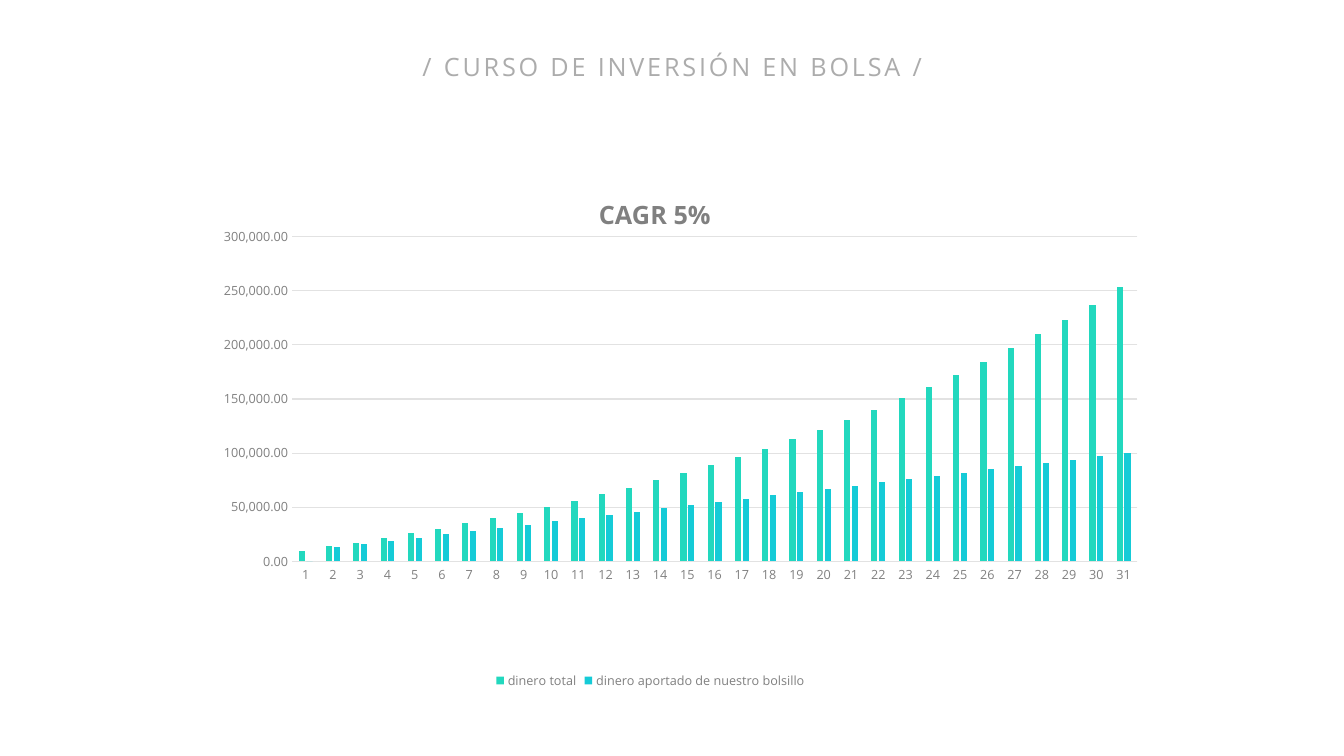
from lxml import etree
from pptx import Presentation
from pptx import util as u
from pptx.chart.data import CategoryChartData
from pptx.dml.color import RGBColor
from pptx.enum import chart as ch, text
from pptx.oxml.ns import qn

CELL = 0.1  # grid cell in inches
FONT = "Open Sans"
GREY, RULE, PALE = "808080", "E2E2E2", "ACACAC"
TEAL, CYAN = "22D8BE", "15CBD7"


def rgb(code):
    return RGBColor.from_string(code)


def style(font, size, color=GREY, bold=False):
    font.name, font.size, font.bold = FONT, u.Pt(size), bold
    font.color.rgb = rgb(color)


def write(frame, words, size, color=GREY, bold=False, gap=0):
    """Put one centred line into a frame; gap is letter spacing in points."""
    para = frame.paragraphs[0]
    para.alignment = text.PP_ALIGN.CENTER
    run = para.add_run()
    run.text = words
    style(run.font, size, color, bold)
    if gap:
        run._r.get_or_add_rPr().set("spc", str(gap * 100))


def place(node, index, **items):
    """Give a chart part a manual layout, in shares of the chart."""
    for old in node.findall(qn("c:layout")):
        node.remove(old)
    layout = etree.Element(qn("c:layout"))
    manual = etree.SubElement(layout, qn("c:manualLayout"))
    for name, value in items.items():
        etree.SubElement(manual, qn("c:" + name)).set("val", str(value))
    node.insert(index, layout)


class Page:
    def __init__(self, deck):
        self.slide = deck.slides.add_slide(deck.slide_layouts[5])

    def box(self, *cells):
        return [u.Inches(n * CELL) for n in cells]

    def title(self, words, *cells):
        head = self.slide.shapes.title
        head.left, head.top, head.width, head.height = self.box(*cells)
        frame = head.text_frame
        frame.word_wrap = False
        frame.auto_size = text.MSO_AUTO_SIZE.SHAPE_TO_FIT_TEXT
        frame.vertical_anchor = text.MSO_ANCHOR.MIDDLE
        write(frame, words, 18, PALE, gap=2)

    def bars(self, name, cats, series, *cells):
        data = CategoryChartData(number_format="#,##0.00")
        data.categories = cats
        for label, vals, _ in series:
            data.add_series(label, vals)
        kind = ch.XL_CHART_TYPE.COLUMN_CLUSTERED
        chart = self.slide.shapes.add_chart(kind, *self.box(*cells), data).chart
        style(chart.font, 10, "3C3C3C")

        # Heading and plot area
        chart.has_title = True
        write(chart.chart_title.text_frame, name, 18, bold=True)
        chart.chart_title.include_in_layout = False
        place(chart.chart_title._element, 1,
              xMode="edge", yMode="edge", x=0.446, y=0.046)
        place(chart._chartSpace.chart.plotArea, 0, layoutTarget="inner",
              xMode="edge", yMode="edge", x=0.155, y=0.135, w=0.814, h=0.615)

        # Columns
        plot = chart.plots[0]
        plot.gap_width, plot.overlap, plot.vary_by_categories = 219, -27, False
        for item, (_, _, color) in zip(plot.series, series):
            item.format.fill.solid()
            item.format.fill.fore_color.rgb = rgb(color)

        # Axes
        xax, yax = chart.category_axis, chart.value_axis
        for axis in (xax, yax):
            axis.major_tick_mark = axis.minor_tick_mark = ch.XL_TICK_MARK.NONE
            style(axis.tick_labels.font, 9)
        yax.minimum_scale, yax.maximum_scale, yax.major_unit = 0, 300000, 50000
        yax.tick_labels.number_format = "#,##0.00"
        yax.tick_labels.number_format_is_linked = False
        yax.format.line.fill.background()
        for line in (xax.format.line, yax.major_gridlines.format.line):
            line.color.rgb, line.width = rgb(RULE), u.Pt(0.75)

        # Legend
        chart.has_legend = True
        chart.legend.position = ch.XL_LEGEND_POSITION.BOTTOM
        chart.legend.include_in_layout = False
        style(chart.legend.font, 9)


def grow(start, yearly, rate, years):
    """Balance per year, in whole thousands, with a deposit each year."""
    sums = [start]
    while len(sums) < years:
        sums.append((sums[-1] + yearly) * (1 + rate))
    return [round(n, -3) for n in sums]


def main():
    deck = Presentation()
    deck.slide_width, deck.slide_height = u.Inches(13.33), u.Inches(7.5)
    page = Page(deck)
    page.title("/ CURSO DE INVERSIÓN EN BOLSA /", 39.4, 4.6, 54.6, 4)

    years, start, yearly = 31, 10000, 3000
    total = grow(start, yearly, 0.05, years)
    paid = [0] + [start + yearly * n for n in range(1, years)]
    page.bars("CAGR 5%", [str(n + 1) for n in range(years)],
              [("dinero total", total, TEAL),
               ("dinero aportado de nuestro bolsillo", paid, CYAN)],
              13, 16.4, 103, 52.4)
    deck.save("out.pptx")


if __name__ == "__main__":
    main()
